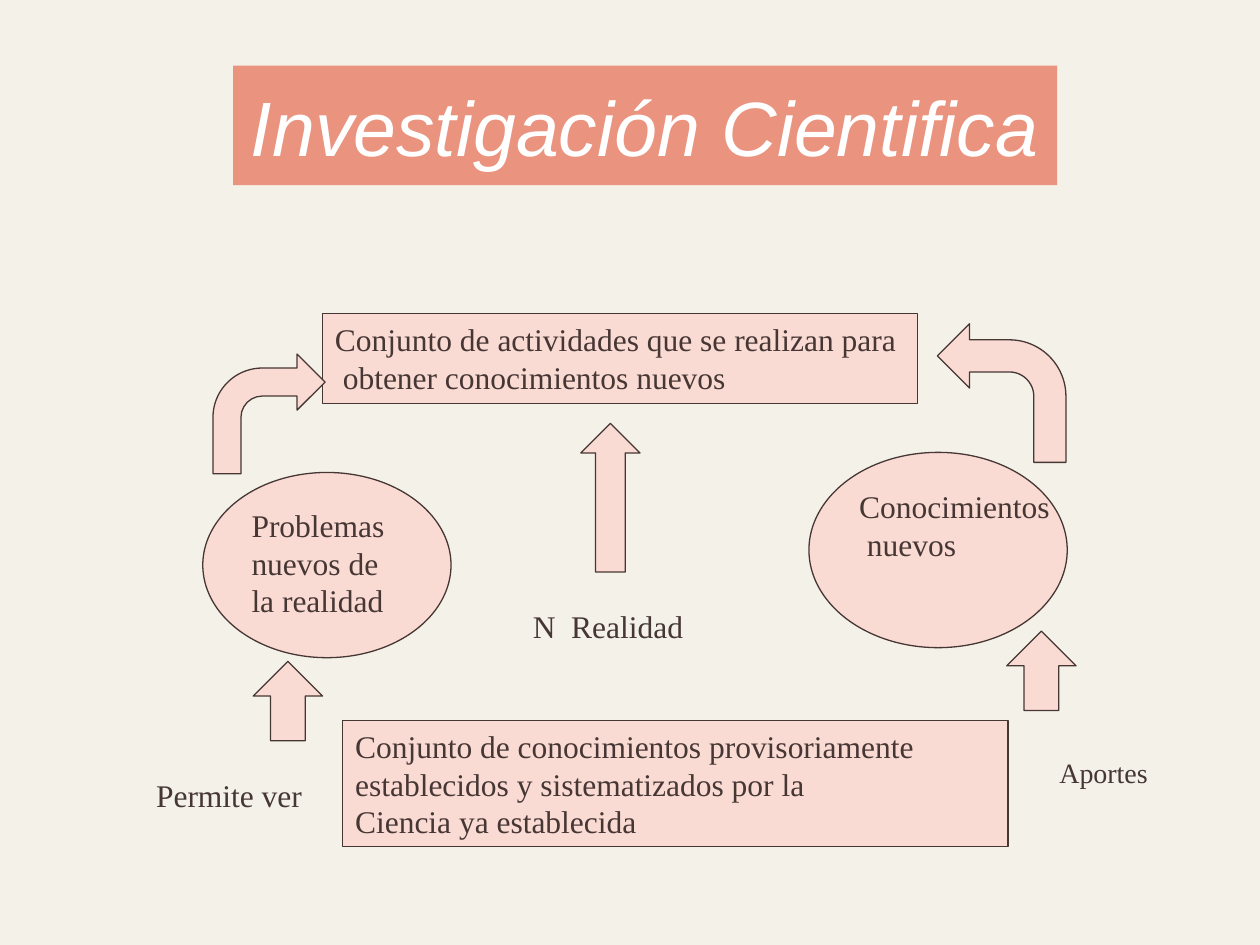
"""Build a one-page diagram of the scientific research cycle."""
import pptx
import pptx.dml.color
import pptx.enum.shapes
import pptx.enum.text
import pptx.util

Inches = pptx.util.Inches
SHAPE = pptx.enum.shapes.MSO_SHAPE
ALIGN = pptx.enum.text.PP_ALIGN
ANCHOR = pptx.enum.text.MSO_ANCHOR

THEME = {
    "background": "F3F1E8", "banner": "EA937E", "panel": "F9DBD3",
    "ink": "463634", "title_ink": "FFFFFF",
    "title_font": "Arial", "body_font": "Times New Roman",
    "title_size": 44, "body_size": 18, "small_size": 16, "line_width": 0.75,
}

TITLE = ("Investigación Cientifica", (1.85, 0.52, 6.54, 0.95))
PANELS = [
    (SHAPE.RECTANGLE, (2.56, 2.49, 4.72, 0.71),
     ["Conjunto de actividades que se realizan para", " obtener conocimientos nuevos"]),
    (SHAPE.OVAL, (1.61, 3.75, 1.97, 1.47), ["Problemas", "nuevos de", "la realidad"]),
    (SHAPE.OVAL, (6.42, 3.59, 2.05, 1.55), ["Conocimientos", " nuevos"]),
    (SHAPE.RECTANGLE, (2.72, 5.72, 5.28, 1),
     ["Conjunto de conocimientos provisoriamente",
      "establecidos y sistematizados por la", "Ciencia ya establecida"]),
]
STRAIGHT, BENT = (0.5, 0.5), (0.25, 0.25, 0.25, 0.44)
ARROWS = [
    (SHAPE.UP_ARROW, (4.61, 3.36, 0.47, 1.18), STRAIGHT, False),
    (SHAPE.BENT_ARROW, (1.69, 2.81, 0.89, 0.95), BENT, False),
    (SHAPE.BENT_ARROW, (7.44, 2.57, 1.02, 1.1), BENT, True),
    (SHAPE.UP_ARROW, (2.01, 5.25, 0.55, 0.63), STRAIGHT, False),
    (SHAPE.UP_ARROW, (7.99, 5.01, 0.55, 0.63), STRAIGHT, False),
]
LABELS = [
    ("N  Realidad", (4.13, 4.77, 1.65, 0.4), "body_size"),
    ("Permite ver", (1.14, 6.11, 1.42, 0.4), "body_size"),
    ("Aportes", (8.31, 5.95, 0.94, 0.37), "small_size"),
]


def color(name):
    return pptx.dml.color.RGBColor.from_string(THEME[name])


def add_figure(page, kind, place, fill, outlined=True):
    figure = page.shapes.add_shape(kind, *map(Inches, place))
    figure.shadow.inherit = False
    figure.fill.solid()
    figure.fill.fore_color.rgb = color(fill)
    if outlined:
        figure.line.color.rgb = color("ink")
        figure.line.width = pptx.util.Pt(THEME["line_width"])
    else:
        figure.line.fill.background()
    return figure


def write(box, lines, size="body_size", font="body_font", ink="ink",
          align=ALIGN.LEFT, anchor=ANCHOR.TOP, wrap=True, italic=False):
    frame = box.text_frame
    frame.word_wrap = wrap
    frame.vertical_anchor = anchor
    for index, line in enumerate(lines):
        para = frame.add_paragraph() if index else frame.paragraphs[0]
        para.alignment = align
        span = para.add_run()
        span.text = line
        span.font.name = THEME[font]
        span.font.size = pptx.util.Pt(THEME[size])
        span.font.italic = italic
        span.font.color.rgb = color(ink)


def main():
    deck = pptx.Presentation()
    deck.slide_width, deck.slide_height = Inches(10), Inches(7.5)
    page = deck.slides.add_slide(deck.slide_layouts[6])
    page.background.fill.solid()
    page.background.fill.fore_color.rgb = color("background")

    title, place = TITLE
    banner = add_figure(page, SHAPE.RECTANGLE, place, "banner", outlined=False)
    write(banner, [title], "title_size", "title_font", "title_ink",
          ALIGN.CENTER, ANCHOR.MIDDLE, italic=True)

    for kind, place, lines in PANELS:
        write(add_figure(page, kind, place, "panel"), lines, wrap=False)

    for kind, place, adjustments, mirrored in ARROWS:
        arrow = add_figure(page, kind, place, "panel")
        for index, value in enumerate(adjustments):
            arrow.adjustments[index] = value
        if mirrored:
            arrow.element.spPr.xfrm.set("flipH", "1")

    for text, place, size in LABELS:
        write(page.shapes.add_textbox(*map(Inches, place)), [text], size)

    deck.save("out.pptx")


if __name__ == "__main__":
    main()
